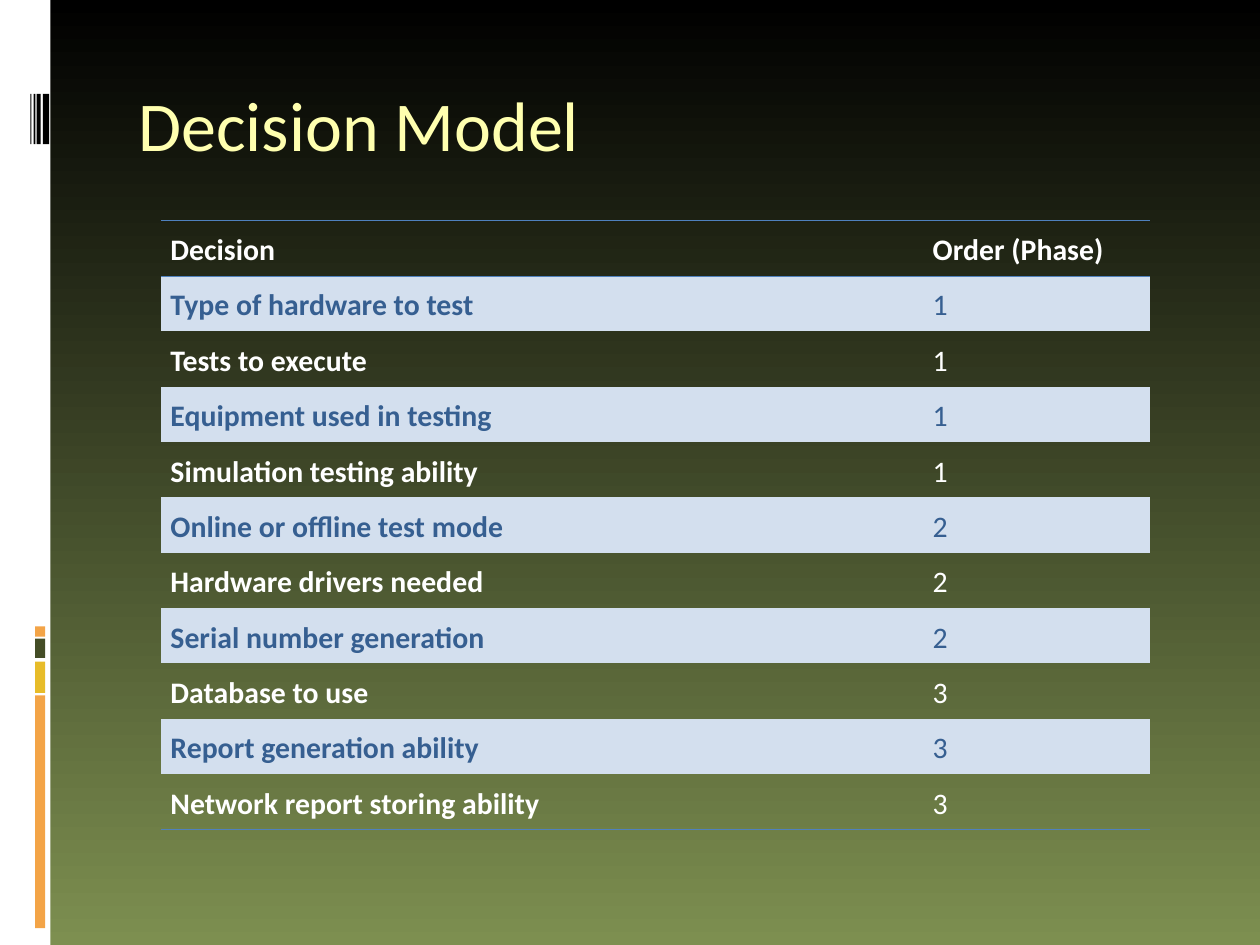
from dataclasses import dataclass

from lxml import etree
from pptx import Presentation
from pptx.dml.color import RGBColor
from pptx.enum.shapes import MSO_SHAPE
from pptx.enum.text import MSO_ANCHOR, PP_ALIGN
from pptx.oxml.ns import qn
from pptx.util import Pt

RECTANGLE = MSO_SHAPE.RECTANGLE
TOP = MSO_ANCHOR.TOP
LEFT = PP_ALIGN.LEFT
TITLE_ONLY = 5


@dataclass(frozen=True)
class Theme:
    font: str = "Calibri"
    title_size: float = 40
    table_size: float = 17
    black: str = "000000"
    white: str = "FFFFFF"
    green: str = "7D8F50"
    dark_green: str = "444D26"
    orange: str = "F3A447"
    gold: str = "E7BC29"
    title: str = "FFFFAF"
    band: str = "D3DFEE"
    band_text: str = "365F91"
    rule: str = "4F81BD"
    rule_width: float = 0.45


THEME = Theme()
DECISIONS = [
    ("Decision", "Order (Phase)"),
    ("Type of hardware to test", "1"),
    ("Tests to execute", "1"),
    ("Equipment used in testing", "1"),
    ("Simulation testing ability", "1"),
    ("Online or offline test mode", "2"),
    ("Hardware drivers needed", "2"),
    ("Serial number generation", "2"),
    ("Database to use", "3"),
    ("Report generation ability", "3"),
    ("Network report storing ability", "3"),
]


def write_text(frame, text, *, size, color, bold=False, line_spacing=1.0):
    para = frame.paragraphs[0]
    para.alignment = LEFT
    para.line_spacing = line_spacing
    span = para.add_run()
    span.text = text
    span.font.name = THEME.font
    span.font.size = Pt(size)
    span.font.bold = bold
    span.font.color.rgb = RGBColor.from_string(color)


def add_bar(page, left, top, width, height, color):
    bar = page.shapes.add_shape(RECTANGLE, Pt(left), Pt(top), Pt(width), Pt(height))
    bar.shadow.inherit = False
    bar.fill.solid()
    bar.fill.fore_color.rgb = RGBColor.from_string(color)
    bar.line.fill.background()


def add_background(page):
    fill = page.background.fill
    fill.gradient()
    fill.gradient_angle = 270
    for stop, color in zip(fill.gradient_stops, (THEME.black, THEME.green)):
        stop.color.rgb = RGBColor.from_string(color)


def add_side_rail(page, left, top, width, height):
    add_bar(page, left, top, width, height, THEME.white)
    blocks = [
        (358, 5.8, THEME.orange),
        (365, 11, THEME.dark_green),
        (378, 18, THEME.gold),
        (397.4, 133, THEME.orange),
    ]
    for offset, block_height, color in blocks:
        add_bar(page, left + 20, top + offset, 5.8, block_height, color)
    for offset, stripe_width in [(17.4, 0.6), (19.3, 0.9), (21, 2.2), (24.5, 3.6)]:
        add_bar(page, left + offset, top + 53.6, stripe_width, 28.8, THEME.black)


def add_title(page, left, top, width, height):
    box = page.shapes.title
    box.left, box.top, box.width, box.height = map(Pt, (left, top, width, height))
    frame = box.text_frame
    frame.word_wrap = True
    frame.vertical_anchor = TOP
    frame.margin_top = Pt(6)
    write_text(frame, "Decision Model", size=THEME.title_size, color=THEME.title)


def set_borders(cell, ruled_sides):
    properties = cell._tc.get_or_add_tcPr()
    for position, side in enumerate(("lnL", "lnR", "lnT", "lnB")):
        line = etree.Element(qn(f"a:{side}"))
        if side in ruled_sides:
            line.set("w", str(Pt(THEME.rule_width)))
            fill = etree.SubElement(line, qn("a:solidFill"))
            etree.SubElement(fill, qn("a:srgbClr"), val=THEME.rule)
        else:
            etree.SubElement(line, qn("a:noFill"))
        properties.insert(position, line)


def add_decision_table(page, left, top, column_widths, row_height):
    row_count = len(DECISIONS)
    table = page.shapes.add_table(
        row_count, len(column_widths), Pt(left), Pt(top),
        Pt(sum(column_widths)), Pt(row_height * row_count),
    ).table
    table.horz_banding = False
    for column, width in zip(table.columns, column_widths):
        column.width = Pt(width)
    ruled_rows = {0: ("lnT", "lnB"), 1: ("lnT",), row_count - 1: ("lnB",)}
    for row_index, values in enumerate(DECISIONS):
        table.rows[row_index].height = Pt(row_height)
        banded = row_index % 2 == 1
        for column_index, value in enumerate(values):
            cell = table.cell(row_index, column_index)
            cell.margin_left = cell.margin_right = Pt(5.4)
            cell.margin_top = cell.margin_bottom = Pt(3.6)
            if banded:
                cell.fill.solid()
                cell.fill.fore_color.rgb = RGBColor.from_string(THEME.band)
            else:
                cell.fill.background()
            set_borders(cell, ruled_rows.get(row_index, ()))
            write_text(
                cell.text_frame, value, size=THEME.table_size,
                color=THEME.band_text if banded else THEME.white,
                bold=row_index == 0 or column_index == 0, line_spacing=1.15,
            )


def main():
    deck = Presentation()
    deck.slide_width, deck.slide_height = Pt(720), Pt(540)
    page = deck.slides.add_slide(deck.slide_layouts[TITLE_ONLY])
    add_background(page)
    add_side_rail(page, 0, 0, 28.8, 540)
    add_title(page, 72, 40.3, 612, 72)
    add_decision_table(page, 92, 126, (435.6, 129.6), 31.64)
    deck.save("out.pptx")


if __name__ == "__main__":
    main()
